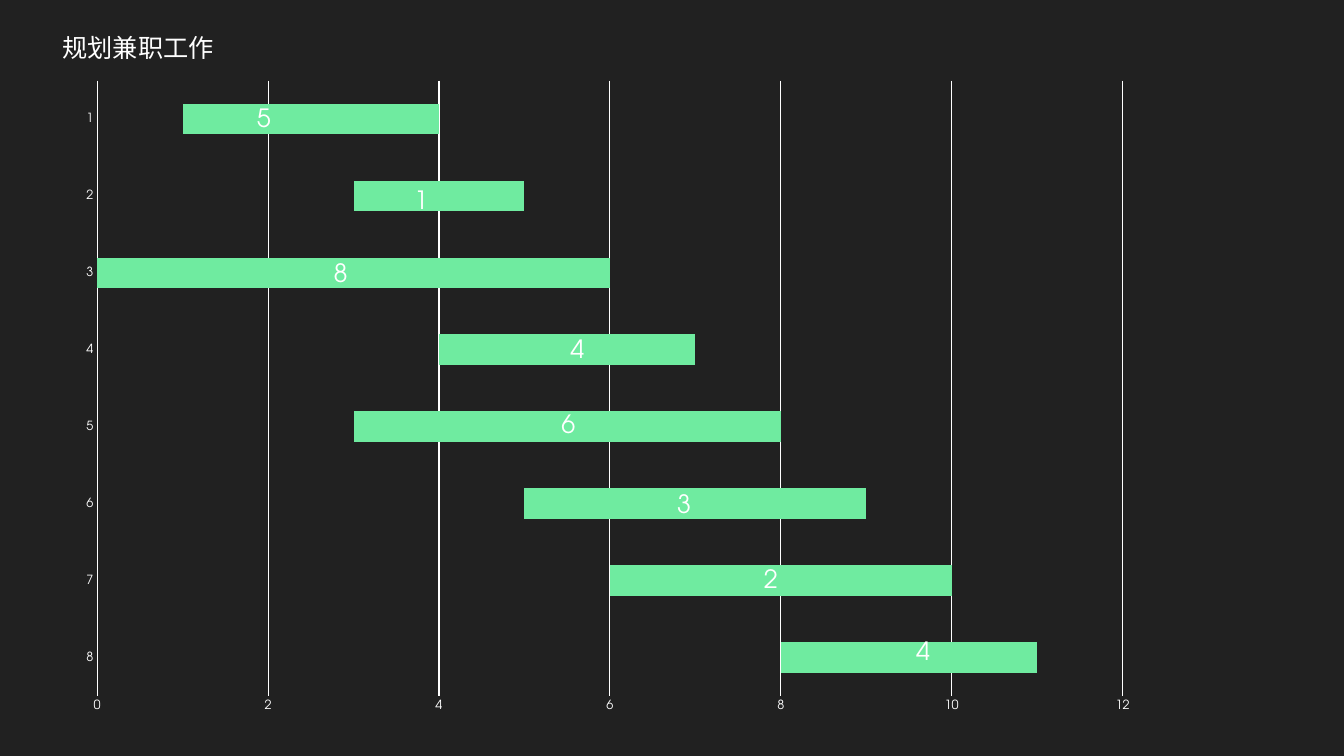
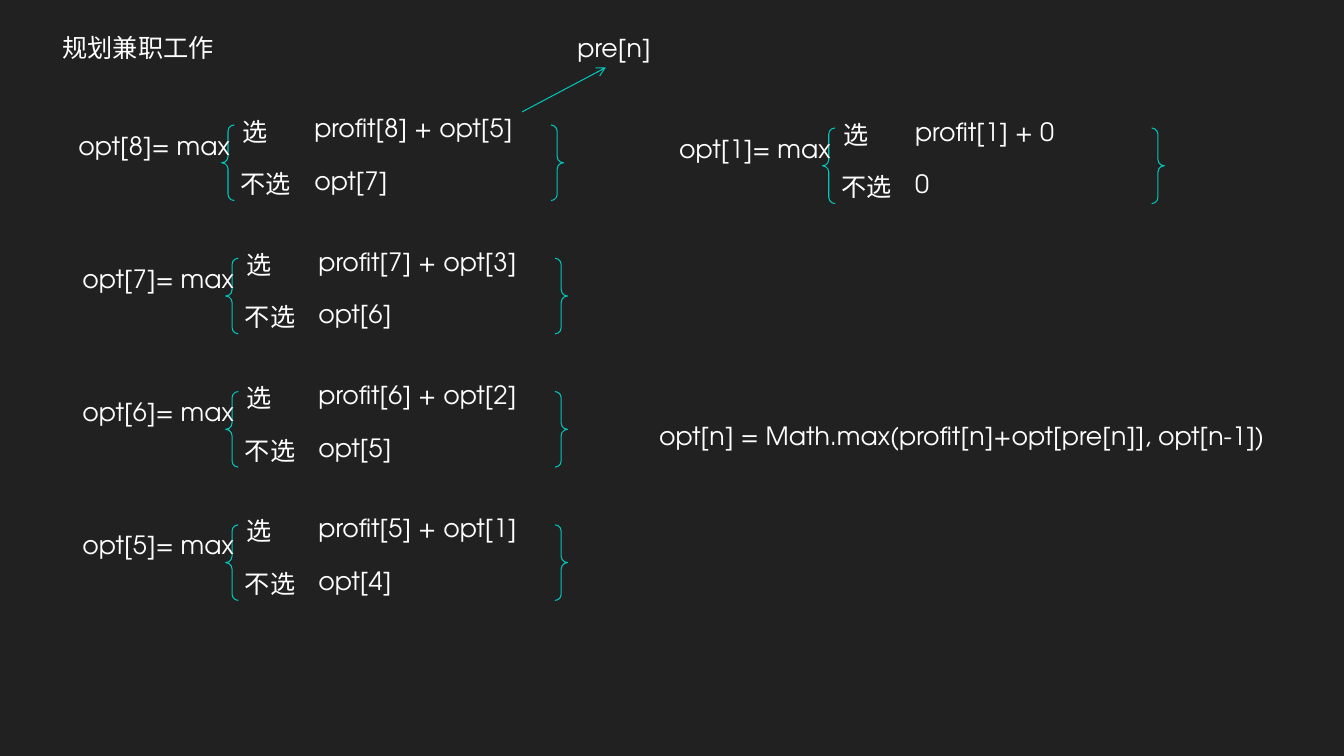
from lxml.etree import SubElement
from pptx import Presentation
from pptx.chart.data import CategoryChartData
from pptx.dml.color import RGBColor
from pptx.enum.chart import XL_CHART_TYPE, XL_TICK_MARK
from pptx.enum.shapes import MSO_CONNECTOR, MSO_SHAPE
from pptx.enum.text import MSO_ANCHOR, MSO_AUTO_SIZE, PP_ALIGN
from pptx.oxml.ns import qn
from pptx.util import Inches, Pt

hue = RGBColor.from_string
DARK, WHITE, TEAL, GREEN = "212121", "FFFFFF", "00C6BB", "6FEBA0"
FACE = "TeX Gyre Adventor"
FRAME = {"word_wrap": True, "auto_size": MSO_AUTO_SIZE.NONE,
         "vertical_anchor": MSO_ANCHOR.TOP}
LINE = 5.33  # height of one line of text, in percent of the slide

deck = Presentation()
deck.slide_width, deck.slide_height = Inches(13.33), Inches(7.5)
back = deck.slide_master.background.fill
back.solid()
back.fore_color.rgb = hue(DARK)


def area(x, y, w=0, h=0):
    """Turn percent of the slide's width and height into lengths."""
    wide, high = deck.slide_width / 100, deck.slide_height / 100
    return int(x * wide), int(y * high), int(w * wide), int(h * high)


def write(shape, text):
    frame = shape.text_frame
    for key, value in FRAME.items():
        setattr(frame, key, value)
    para = frame.paragraphs[0]
    para.alignment = PP_ALIGN.LEFT
    run = para.add_run()
    run.text = text
    for key, value in {"name": FACE, "size": Pt(18)}.items():
        setattr(run.font, key, value)
    run.font.color.rgb = hue(WHITE)


# Both slides: the same title in the same place
plain = deck.slide_layouts[5]
head = plain.placeholders[0]
head.left, head.top, head.width, head.height = area(3.9, 3.6, 18.4, LINE)
slides = [deck.slides.add_slide(plain) for _ in range(2)]
for slide in slides:
    write(slide.shapes.title, "规划兼职工作")
gantt, rules = (slide.shapes for slide in slides)

# Slide 1: jobs as floating bars
starts = [8, 6, 5, 3, 4, 0, 3, 1]
spans = [3, 4, 4, 5, 3, 6, 2, 3]
series = [(starts, None), (spans, GREEN), ([0] * 8, None),
          ([None] * 8, "EFB251"), ([None] * 8, "EF755F")]
data = CategoryChartData()
data.categories = [str(job) for job in range(8, 0, -1)]
for num, (vals, _) in enumerate(series, 1):
    data.add_series(f"Series {num}", vals)
chart = gantt.add_chart(XL_CHART_TYPE.BAR_STACKED,
                        *area(4.8, 8.93, 80.87, 86.93), data).chart
chart.has_legend = chart.has_title = False
plot = chart.plots[0]
for key, value in {"gap_width": 150, "overlap": 100,
                   "vary_by_categories": False}.items():
    setattr(plot, key, value)
for bars, (_, tint) in zip(plot.series, series):
    fill = bars.format.fill
    if tint:
        fill.solid()
        fill.fore_color.rgb = hue(tint)
    else:
        fill.background()

jobs, time = chart.category_axis, chart.value_axis
for key, value in {"minimum_scale": 0, "maximum_scale": 12, "major_unit": 2,
                   "has_major_gridlines": True}.items():
    setattr(time, key, value)
for axis in (jobs, time):
    axis.major_tick_mark = axis.minor_tick_mark = XL_TICK_MARK.NONE
for font, size in ((chart.font, 10), (jobs.tick_labels.font, 9),
                   (time.tick_labels.font, 9)):
    font.name, font.size = FACE, Pt(size)
    font.color.rgb = hue(WHITE)
for line in (jobs.format.line, time.major_gridlines.format.line):
    line.width = Pt(0.75)
    line.color.rgb = hue(WHITE)
time.format.line.fill.background()

profits = [("5", 18.38, 12.93), ("1", 30.08, 23.73), ("8", 24.08, 33.33),
           ("4", 41.7, 43.47), ("6", 41.03, 53.33), ("3", 49.65, 63.87),
           ("2", 56.1, 73.87), ("4", 67.43, 83.33)]
for text, x, y in profits:
    write(gantt.add_textbox(*area(x, y, 4, LINE)), text)

# Slide 2: one braced choice for each job
STEP, TOP = 17.63, 16.53
cases = [(8, "opt[5]", "opt[7]", 5.1, TOP),
         (7, "opt[3]", "opt[6]", 5.4, TOP + STEP),
         (6, "opt[2]", "opt[5]", 5.4, TOP + 2 * STEP),
         (5, "opt[1]", "opt[4]", 5.4, TOP + 3 * STEP),
         (1, "0", "0", 49.8, 16.93)]
for job, prior, skip, x, y in cases:
    brace = rules.add_shape(MSO_SHAPE.DOUBLE_BRACE,
                            *area(x + 11.4, y, 25.43, 10))
    brace.shadow.inherit = False
    brace.fill.background()
    brace.line.width = Pt(0.75)
    brace.line.color.rgb = hue(TEAL)
    parts = [(f"opt[{job}]= max", 0, 0, 13.5),
             ("选", 12.23, -1.87, 5.9),
             ("不选", 12.08, 5.07, 5.9),
             (f"profit[{job}] + {prior}", 17.55, -2.27, 18.75),
             (skip, 17.55, 4.67, 12.75)]
    for text, dx, dy, w in parts:
        write(rules.add_textbox(*area(x + dx, y + dy, w, LINE)), text)

write(rules.add_textbox(*area(42.23, 3.6, 13.13, LINE)), "pre[n]")
write(rules.add_textbox(*area(48.3, 54.93, 48.38, 13.47)),
      "opt[n] = Math.max(profit[n]+opt[pre[n]], opt[n-1])")

arrow = rules.add_connector(MSO_CONNECTOR.STRAIGHT, *area(38.85, 14.8)[:2],
                            *area(45.08, 8.93)[:2])
arrow.line.width = Pt(0.75)
arrow.line.color.rgb = hue(TEAL)
SubElement(arrow.line._get_or_add_ln(), qn("a:tailEnd"), type="arrow")
SubElement(arrow._element.spPr, qn("a:effectLst"))

deck.save("out.pptx")
